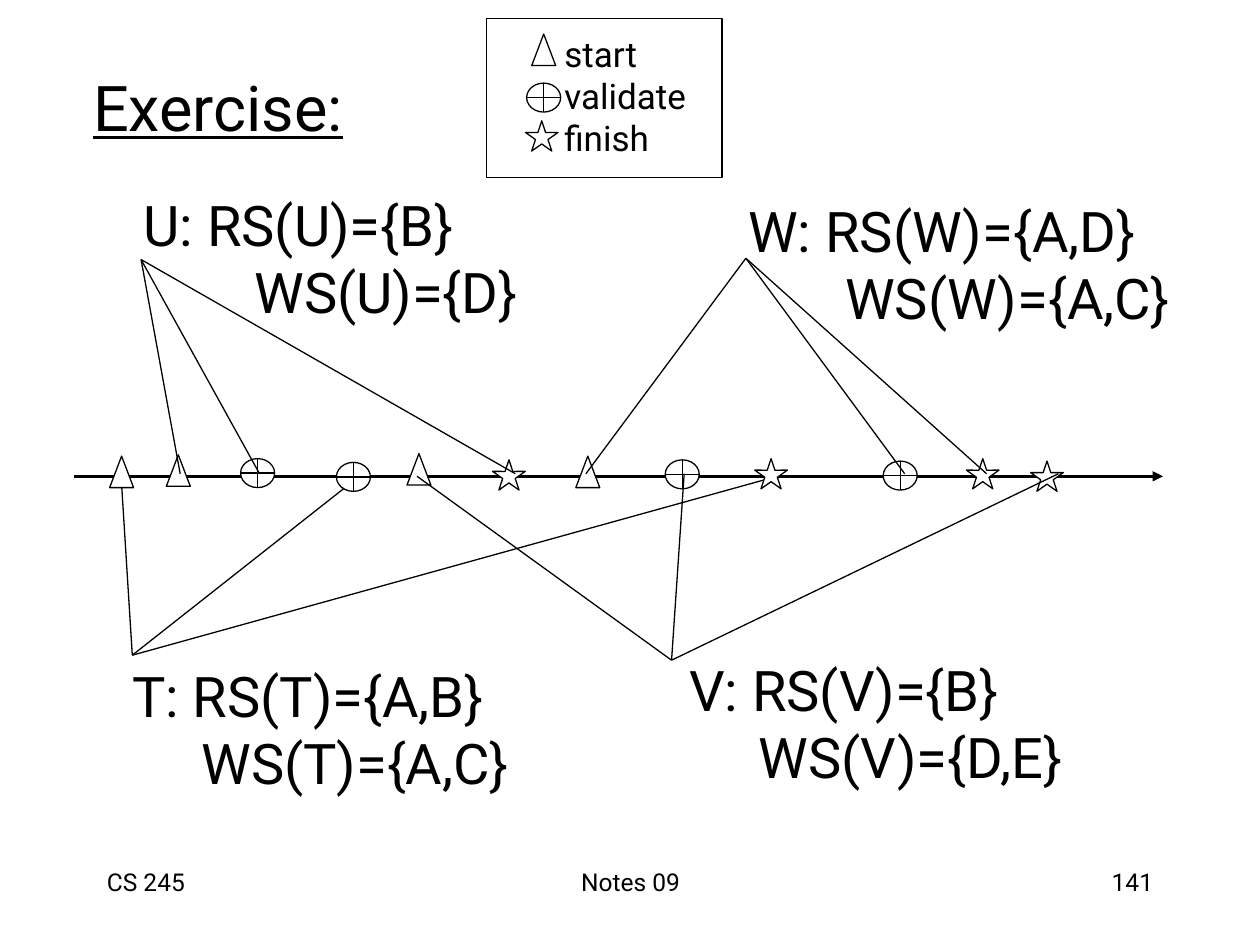
from lxml.etree import SubElement
from pptx import Presentation
from pptx.dml.color import RGBColor
from pptx.enum.shapes import MSO_CONNECTOR, MSO_SHAPE
from pptx.enum.text import MSO_ANCHOR, PP_ALIGN
from pptx.oxml.ns import qn
from pptx.util import Inches, Pt

BLACK = RGBColor(0, 0, 0)
WHITE = RGBColor(255, 255, 255)
FONT = "Roboto"
AXIS_Y = 3.78

SYMBOLS = {
    "start": (MSO_SHAPE.FLOWCHART_EXTRACT, 0.19, 0.25),
    "validate": (MSO_SHAPE.FLOWCHART_OR, 0.27, 0.23),
    "finish": (MSO_SHAPE.STAR_5_POINT, 0.26, 0.24),
}
EVENTS = [
    ("start", 0.87, 3.62), ("start", 1.32, 3.61), ("validate", 1.91, 3.64),
    ("validate", 2.67, 3.67), ("start", 3.23, 3.6), ("finish", 3.91, 3.65),
    ("start", 4.57, 3.62), ("validate", 5.28, 3.65), ("finish", 5.99, 3.64),
    ("validate", 7.01, 3.66), ("finish", 7.67, 3.64), ("finish", 8.18, 3.66),
]
LEGEND_MARKS = [("start", 0.36, 0.12), ("validate", 0.32, 0.51), ("finish", 0.31, 0.81)]
TRANSACTIONS = [
    ((0.95, 5.2, 3.23, 1.17), "T: RS(T)={A,B}", "WS(T)={A,C}", 0.55),
    ((5.37, 5.15, 3.25, 1.17), "V: RS(V)={B}", "WS(V)={D,E}", 0.55),
    ((1.04, 1.46, 3.29, 1.17), "U: RS(U)={B}", "WS(U)={D}", 0.88),
    ((5.84, 1.51, 3.62, 1.17), "W: RS(W)={A,D}", "WS(W)={A,C}", 0.77),
]
T_FAN = ((1.05, 5.2), [(0.96, 3.76), (2.84, 3.79), (6.17, 3.78)])
OTHER_FANS = [
    ((1.12, 2.06), [(1.43, 3.76), (2.06, 3.76), (4.09, 3.76)]),
    ((5.33, 5.24), [(3.31, 3.78), (5.43, 3.76), (8.4, 3.76)]),
    ((5.92, 2.05), [(4.65, 3.76), (7.18, 3.76), (7.83, 3.76)]),
]
FOOTERS = [
    ((0.75, 6.83, 2.08, 0.5), "CS 245", PP_ALIGN.LEFT),
    ((3.42, 6.83, 3.17, 0.5), "Notes 09", PP_ALIGN.CENTER),
    ((7.17, 6.83, 2.08, 0.5), "141", PP_ALIGN.RIGHT),
]


def add_text(page, box, lines, size, anchor=MSO_ANCHOR.MIDDLE, align=PP_ALIGN.LEFT,
             underline=None):
    """Place one paragraph per line in the box and return the paragraphs."""
    frame = page.shapes.add_textbox(*map(Inches, box)).text_frame
    frame.word_wrap = True
    frame.vertical_anchor = anchor
    frame.text = "\n".join(lines)
    look = {"name": FONT, "size": Pt(size), "underline": underline}
    for para in frame.paragraphs:
        para.alignment = align
        for span in para.runs:
            for key, value in look.items():
                setattr(span.font, key, value)
            span.font.color.rgb = BLACK
    return frame.paragraphs


def add_line(page, start, end, width=0.75, arrow=False):
    """Draw a straight black line, with an arrowhead at its end if asked."""
    line = page.shapes.add_connector(MSO_CONNECTOR.STRAIGHT, *map(Inches, start + end))
    line.line.color.rgb = BLACK
    line.line.width = Pt(width)
    properties = line._element.spPr
    if arrow:
        SubElement(properties.find(qn("a:ln")), qn("a:tailEnd"), type="triangle")
    SubElement(properties, qn("a:effectLst"))


def add_outlined(page, preset, box, fill=None):
    """Draw a preset shape with a thin black outline."""
    shape = page.shapes.add_shape(preset, *map(Inches, box))
    shape.shadow.inherit = False
    shape.line.color.rgb = BLACK
    shape.line.width = Pt(0.75)
    if fill is None:
        shape.fill.background()
    else:
        shape.fill.solid()
        shape.fill.fore_color.rgb = fill


def add_symbol(page, name, left, top):
    """Draw the symbol of one event."""
    preset, width, height = SYMBOLS[name]
    add_outlined(page, preset, (left, top, width, height), WHITE)


def add_fan(page, apex, targets, arrow=False):
    """Draw lines from one transaction to its events."""
    for target in targets:
        add_line(page, apex, target, arrow=arrow)


def add_legend(page, box):
    """Place the framed key of the event symbols."""
    left, top, width, height = box
    for name, across, down in LEGEND_MARKS:
        add_symbol(page, name, left + across, top + down)
    add_text(page, (left + 0.52, top + 0.06, 1.22, 1.1), SYMBOLS, 20)
    add_outlined(page, MSO_SHAPE.RECTANGLE, box)


def add_transaction(page, box, reads, writes, indent):
    """Place the read set with the indented write set below it."""
    paras = add_text(page, box, [reads, writes], 32)
    properties = paras[1]._p.get_or_add_pPr()
    properties.set("marL", str(Inches(indent)))
    properties.set("indent", "0")


def add_timeline(page, left, right):
    """Draw the time axis, its events and the lines to the transactions."""
    add_line(page, (left, AXIS_Y), (right, AXIS_Y), 1.5, arrow=True)
    add_fan(page, *T_FAN, arrow=True)
    for event in EVENTS:
        add_symbol(page, *event)
    for fan in OTHER_FANS:
        add_fan(page, *fan)


def main():
    """Build the slide and save it."""
    deck = Presentation()
    deck.slide_width, deck.slide_height = Inches(10), Inches(7.5)
    page = deck.slides.add_slide(deck.slide_layouts[6])
    for box, label, align in FOOTERS:
        add_text(page, box, [label], 14, MSO_ANCHOR.TOP, align)
    add_text(page, (0.64, 0.48, 8.5, 0.72), ["Exercise:"], 36, underline=True)
    for transaction in TRANSACTIONS:
        add_transaction(page, *transaction)
    add_timeline(page, 0.59, 9.23)
    add_legend(page, (3.86, 0.15, 1.87, 1.26))
    deck.save("out.pptx")


if __name__ == "__main__":
    main()
